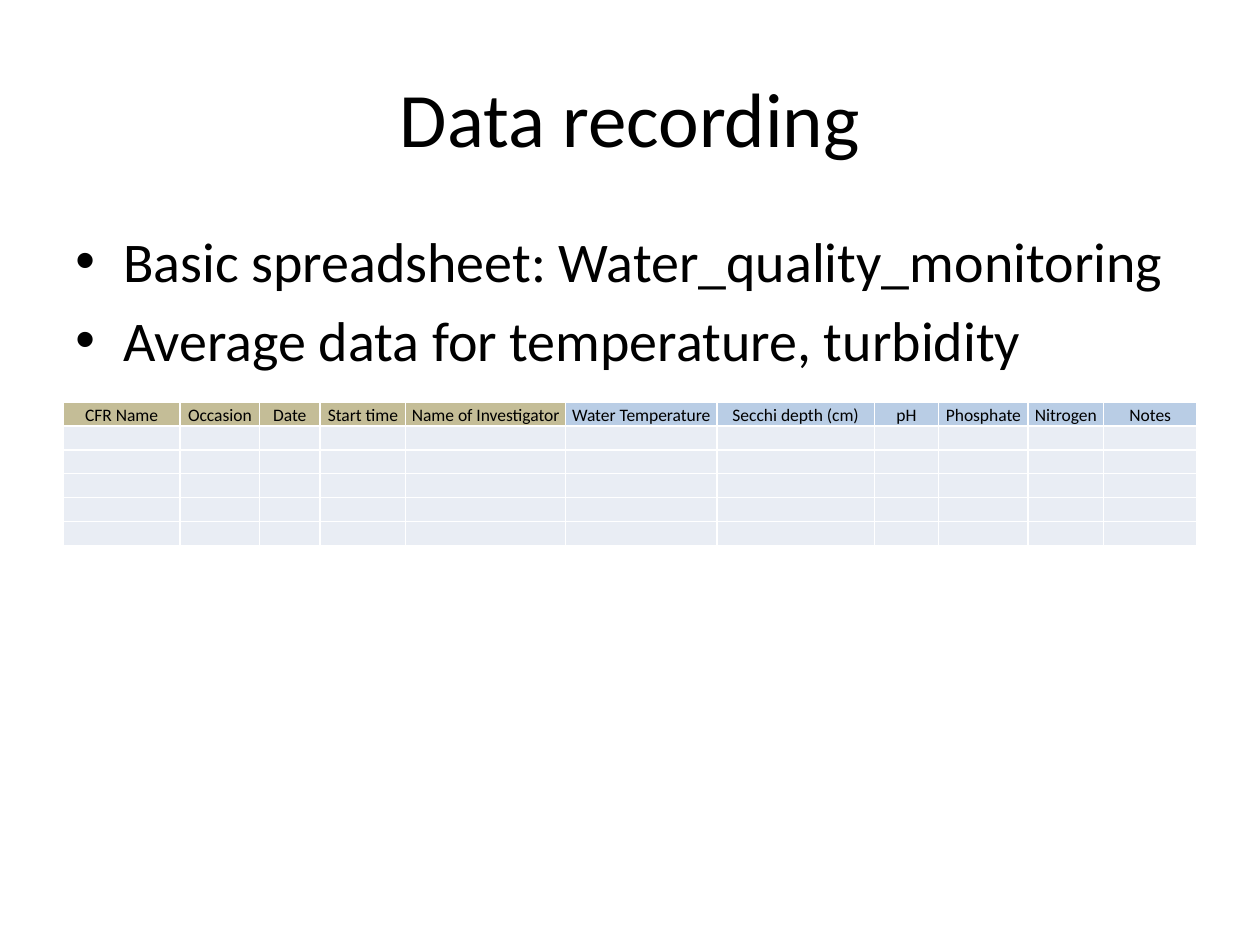
"""Build the data recording slide with its empty water quality log."""
from lxml import etree
from pptx import Presentation, util as u
from pptx.dml.color import RGBColor
from pptx.enum import text
from pptx.oxml.ns import qn

TITLE = "Data recording"
BULLETS = [
    "Basic spreadsheet: Water_quality_monitoring",
    "Average data for temperature, turbidity",
]
VISIT_COLUMNS = [
    ("CFR Name", 0.93), ("Occasion", 0.63), ("Date", 0.48),
    ("Start time", 0.68), ("Name of Investigator", 1.27),
]
WATER_COLUMNS = [
    ("Water Temperature", 1.2), ("Secchi depth (cm)", 1.25), ("pH", 0.51),
    ("Phosphate", 0.71), ("Nitrogen", 0.6), ("Notes", 0.74),
]
EMPTY_ROWS = 5
THEME = dict(font="Calibri", ink="000000", visit="C4BD97", water="B9CDE5",
             empty="E9EDF4", border="FFFFFF", title=44, body=32, cell=10)
WIDTH, HEIGHT = 10, 7.5
MARGIN = WIDTH * 0.05
CONTENT = WIDTH - 2 * MARGIN
ROW = 0.19
INDENT = 0.38


def style(p, size):
    for r in p.runs:
        r.font.name, r.font.size, r.font.bold = THEME["font"], u.Pt(size), False
        r.font.color.rgb = RGBColor.from_string(THEME["ink"])


def add_text(s, top, height, lines, size, anchor):
    box = s.shapes.add_textbox(*map(u.Inches, (MARGIN, top, CONTENT, height)))
    tf = box.text_frame
    tf.word_wrap, tf.vertical_anchor = True, anchor
    tf.text = "\n".join(lines)
    for p in tf.paragraphs:
        style(p, size)
    return tf


def add_bullet(p):
    p.space_before = u.Pt(THEME["body"] * 0.2)
    pPr = p._p.get_or_add_pPr()
    pPr.set("marL", str(u.Inches(INDENT)))
    pPr.set("indent", str(-u.Inches(INDENT)))
    etree.SubElement(pPr, qn("a:buFont"), typeface="Arial")
    etree.SubElement(pPr, qn("a:buChar"), char="•")


def format_cell(cell, label, fill):
    cell.text = label
    cell.vertical_anchor = text.MSO_ANCHOR.BOTTOM
    cell.margin_left = cell.margin_right = cell.margin_top = u.Inches(0.01)
    cell.margin_bottom = 0
    p = cell.text_frame.paragraphs[0]
    p.alignment = text.PP_ALIGN.CENTER
    style(p, THEME["cell"])
    etree.SubElement(p._p, qn("a:endParaRPr"), sz=str(THEME["cell"] * 100))
    tcPr = cell._tc.get_or_add_tcPr()
    for side in "LRTB":
        ln = etree.SubElement(tcPr, qn(f"a:ln{side}"), w=str(u.Pt(1)))
        solid = etree.SubElement(ln, qn("a:solidFill"))
        etree.SubElement(solid, qn("a:srgbClr"), val=THEME["border"])
    cell.fill.solid()
    cell.fill.fore_color.rgb = RGBColor.from_string(fill)


def add_log(s, top):
    columns = [(*c, THEME["visit"]) for c in VISIT_COLUMNS]
    columns += [(*c, THEME["water"]) for c in WATER_COLUMNS]
    rows = EMPTY_ROWS + 1
    frame = s.shapes.add_table(rows, len(columns), *map(
        u.Inches, (MARGIN, top, CONTENT, rows * ROW)))
    table = frame.table
    table.first_row = table.horz_banding = False
    for row in table.rows:
        row.height = u.Inches(ROW)
    for i, (label, width, fill) in enumerate(columns):
        table.columns[i].width = u.Inches(width)
        format_cell(table.cell(0, i), label, fill)
        for j in range(1, rows):
            format_cell(table.cell(j, i), "", THEME["empty"])


def main():
    prs = Presentation()
    prs.slide_width, prs.slide_height = u.Inches(WIDTH), u.Inches(HEIGHT)
    s = prs.slides.add_slide(prs.slide_layouts[6])
    tf = add_text(s, HEIGHT * 0.04, 1.25, [TITLE], THEME["title"],
                  text.MSO_ANCHOR.MIDDLE)
    tf.paragraphs[0].alignment = text.PP_ALIGN.CENTER
    tf = add_text(s, 1.75, HEIGHT * 0.66, BULLETS, THEME["body"],
                  text.MSO_ANCHOR.TOP)
    for p in tf.paragraphs:
        add_bullet(p)
    add_log(s, 3.19)
    prs.save("out.pptx")


if __name__ == "__main__":
    main()
